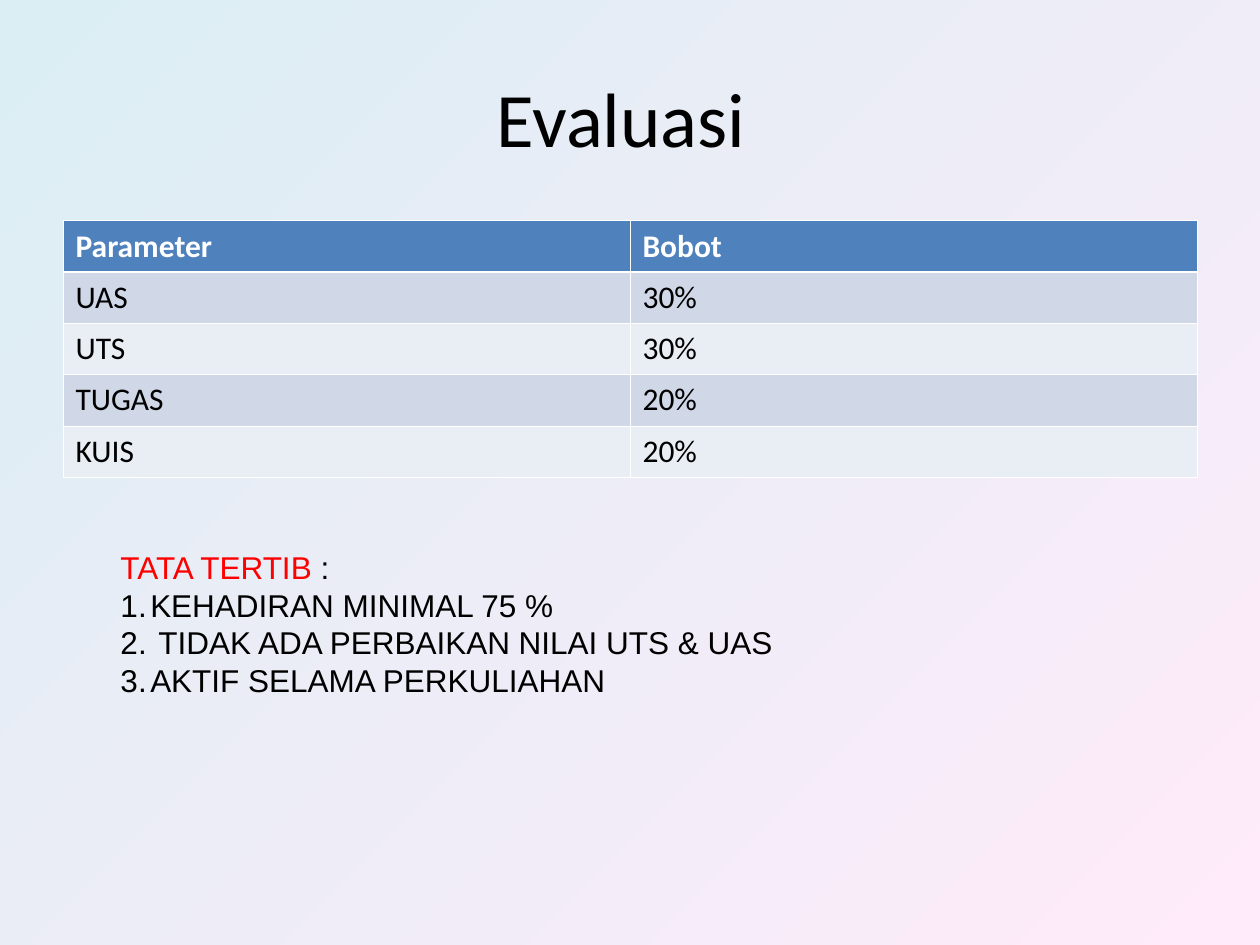
from dataclasses import dataclass

from lxml.etree import SubElement
from pptx import Presentation
from pptx.dml.color import RGBColor as RGB
from pptx.enum.text import MSO_ANCHOR as Anchor, MSO_AUTO_SIZE as AutoSize, PP_ALIGN as Align
from pptx.oxml.ns import qn
from pptx.util import Cm, Pt


@dataclass(frozen=True)
class Theme:
    background: tuple = (RGB(0xDB, 0xEE, 0xF4), RGB(0xFF, 0xEB, 0xFA))
    ink: RGB = RGB(0, 0, 0)
    white: RGB = RGB(0xFF, 0xFF, 0xFF)
    accent: RGB = RGB(0xFF, 0, 0)
    header: RGB = RGB(0x4F, 0x81, 0xBD)
    bands: tuple = (RGB(0xD0, 0xD8, 0xE8), RGB(0xE9, 0xED, 0xF4))
    main_font: str = "Calibri"
    rules_font: str = "Arial"
    title_size: Pt = Pt(44)
    body_size: Pt = Pt(18)
    thin: Pt = Pt(0.45)
    thick: Pt = Pt(1.47)


THEME = Theme()
WEIGHTS = [
    ("Parameter", "Bobot"),
    ("UAS", "30%"),
    ("UTS", "30%"),
    ("TUGAS", "20%"),
    ("KUIS", "20%"),
]
RULES = [
    "KEHADIRAN MINIMAL 75 %",
    " TIDAK ADA PERBAIKAN NILAI UTS & UAS",
    "AKTIF SELAMA PERKULIAHAN",
]


def format_font(font, name, size, color, bold=False):
    font.name, font.size, font.bold = name, size, bold
    font.color.rgb = color


def set_background(slide):
    fill = slide.background.fill
    fill.gradient()
    fill.gradient_angle = 315  # runs from top left to bottom right
    for stop, color in zip(fill.gradient_stops, THEME.background):
        stop.color.rgb = color


def add_title(slide, left, top, width, height):
    title = slide.shapes.title
    title.left, title.top, title.width, title.height = left, top, width, height
    frame = title.text_frame
    frame.text = "Evaluasi "
    frame.vertical_anchor = Anchor.MIDDLE
    paragraph = frame.paragraphs[0]
    paragraph.alignment = Align.CENTER
    format_font(paragraph.runs[0].font, THEME.main_font, THEME.title_size, THEME.ink)


def set_borders(cell, **widths):
    properties = cell._tc.get_or_add_tcPr()
    for side in "LRTB":
        line = SubElement(properties, qn(f"a:ln{side}"), w=str(widths.get(side, THEME.thin)))
        fill = SubElement(line, qn("a:solidFill"))
        SubElement(fill, qn("a:srgbClr"), val=str(THEME.white))


def add_weights_table(slide, left, top, width, height):
    row_count, column_count = len(WEIGHTS), len(WEIGHTS[0])
    table = slide.shapes.add_table(row_count, column_count, left, top, width, height).table
    for row, values in enumerate(WEIGHTS):
        is_header = row == 0
        # A thicker line parts the header from the first row
        widths = {0: {"B": THEME.thick}, 1: {"T": THEME.thick}}.get(row, {})
        for column, value in enumerate(values):
            cell = table.cell(row, column)
            set_borders(cell, **widths)
            cell.fill.solid()
            cell.fill.fore_color.rgb = THEME.header if is_header else THEME.bands[(row - 1) % 2]
            cell.text_frame.text = value
            format_font(cell.text_frame.paragraphs[0].runs[0].font, THEME.main_font,
                        THEME.body_size, THEME.white if is_header else THEME.ink, is_header)


def number_paragraph(paragraph, indent):
    properties = paragraph._p.get_or_add_pPr()
    properties.set("marL", str(indent))
    properties.set("indent", str(-indent))
    color = SubElement(properties, qn("a:buClr"))
    SubElement(color, qn("a:srgbClr"), val=str(THEME.ink))
    SubElement(properties, qn("a:buFont"), typeface=THEME.rules_font)
    SubElement(properties, qn("a:buAutoNum"), type="arabicPeriod")


def add_rules(slide, left, top, width, height):
    frame = slide.shapes.add_textbox(left, top, width, height).text_frame
    frame.word_wrap = True
    frame.auto_size = AutoSize.SHAPE_TO_FIT_TEXT

    # Heading in two colours
    heading = frame.paragraphs[0]
    for text, color in (("TATA TERTIB ", THEME.accent), (":", THEME.ink)):
        run = heading.add_run()
        run.text = text
        format_font(run.font, THEME.rules_font, THEME.body_size, color)

    # Numbered rules
    for rule in RULES:
        paragraph = frame.add_paragraph()
        paragraph.text = rule
        number_paragraph(paragraph, Cm(0.6))
        format_font(paragraph.runs[0].font, THEME.rules_font, THEME.body_size, THEME.ink)


def main():
    presentation = Presentation()
    presentation.slide_width, presentation.slide_height = Cm(25.4), Cm(19.05)
    slide = presentation.slides.add_slide(presentation.slide_layouts[5])  # title only
    margin, content_width = Cm(1.27), Cm(22.86)

    set_background(slide)
    add_title(slide, margin, Cm(0.76), content_width, Cm(3.18))
    add_weights_table(slide, margin, Cm(4.45), content_width, Cm(5.17))
    add_rules(slide, Cm(2.18), Cm(10.92), Cm(14.27), Cm(3.3))
    presentation.save("out.pptx")


if __name__ == "__main__":
    main()
